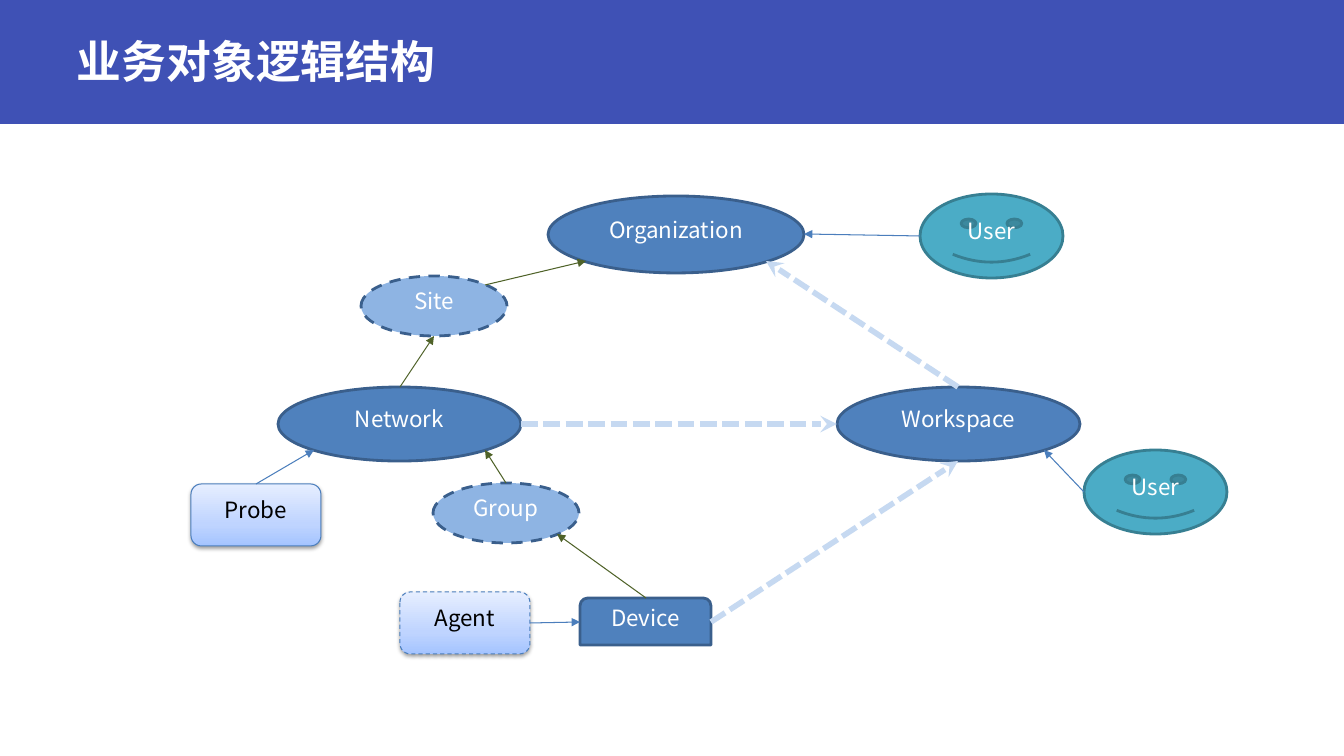
from dataclasses import dataclass

import lxml.etree
import pptx
import pptx.dml.color
import pptx.enum.dml
import pptx.enum.shapes
import pptx.enum.text
import pptx.oxml
import pptx.oxml.ns
import pptx.util

EMU_PER_PIXEL = 914400 / 100.8
RGB = pptx.dml.color.RGBColor.from_string
SHAPE = pptx.enum.shapes.MSO_SHAPE
DASH = pptx.enum.dml.MSO_LINE
NAMESPACE = pptx.oxml.ns.nsdecls("a")


@dataclass(frozen=True)
class Theme:
    """Colours, fonts and type sizes of the slide."""
    banner: str = "3F51B5"
    white: str = "FFFFFF"
    black: str = "000000"
    core: str = "4F81BD"
    core_edge: str = "3A5F8C"
    optional: str = "8EB4E3"
    user: str = "4BACC6"
    user_edge: str = "377F92"
    thin_edge: str = "4B7EBC"
    hierarchy: str = "4F6228"
    membership: str = "C6D9F1"
    gradient: tuple = ((0, "A4C4FF"), (35, "BFD4FF"), (100, "E6EEFF"))
    title_font: str = "Arial"
    label_font: str = "Noto Sans CJK SC"
    title_size: int = 32
    label_size: int = 16


theme = Theme()


def px(*lengths):
    """Turn pixel lengths into a list of EMU lengths."""
    return [pptx.util.Emu(round(length * EMU_PER_PIXEL)) for length in lengths]


def anchor(part, side):
    """Return the point on a part's outline, in whole pixels."""
    left, top, width, height = boxes[part]
    across, down = sides[side]
    return round(left + across * width), round(top + down * height)


presentation = pptx.Presentation()
presentation.slide_width, presentation.slide_height = px(1344, 756)
slide = presentation.slides.add_slide(presentation.slide_layouts[6])

# Title banner
banner = slide.shapes.add_shape(SHAPE.RECTANGLE, *px(0, 0, 1344, 124))
banner.shadow.inherit = False
banner.fill.solid()
banner.fill.fore_color.rgb = RGB(theme.banner)
banner.line.fill.background()

title = slide.shapes.add_textbox(*px(67, 13, 1210, 96))
title.text_frame.word_wrap = True
title.text_frame.vertical_anchor = pptx.enum.text.MSO_ANCHOR.MIDDLE
title.text_frame.text = "业务对象逻辑结构"
title_run = title.text_frame.paragraphs[0].runs[0]
title_run.font.name = theme.title_font
title_run.font.size = pptx.util.Pt(theme.title_size)
title_run.font.bold = True
title_run.font.color.rgb = RGB(theme.white)
east_asian = lxml.etree.SubElement(title_run.font._element, pptx.oxml.ns.qn("a:ea"))
east_asian.set("typeface", theme.label_font)

# Business objects: preset, fill (None for the gradient), edge, edge width, dash, text
styles = {
    "core": (SHAPE.OVAL, theme.core, theme.core_edge, 2, None, theme.white),
    "device": (SHAPE.ROUND_2_SAME_RECTANGLE, theme.core, theme.core_edge, 2, None, theme.white),
    "optional": (SHAPE.OVAL, theme.optional, theme.core_edge, 2, DASH.DASH, theme.white),
    "user": (SHAPE.SMILEY_FACE, theme.user, theme.user_edge, 2, None, theme.white),
    "probe": (SHAPE.ROUNDED_RECTANGLE, None, theme.thin_edge, 0.75, None, theme.black),
    "agent": (SHAPE.ROUNDED_RECTANGLE, None, theme.thin_edge, 0.75, DASH.DASH, theme.black),
}
business_objects = [
    ("organization", "Organization", "core", (548, 196, 256, 77)),
    ("network", "Network", "core", (278, 387, 243, 74)),
    ("organization user", "User", "user", (920, 194, 143, 84)),
    ("probe", "Probe", "probe", (191, 484, 130, 62)),
    ("device", "Device", "device", (580, 598, 131, 47)),
    ("workspace user", "User", "user", (1084, 450, 143, 84)),
    ("workspace", "Workspace", "core", (837, 387, 243, 74)),
    ("agent", "Agent", "agent", (400, 592, 130, 62)),
    ("site", "Site", "optional", (361, 276, 146, 60)),
    ("group", "Group", "optional", (433, 483, 146, 60)),
]
boxes = {part: box for part, _, _, box in business_objects}

stops = "".join(
    f'<a:gs pos="{position * 1000}"><a:srgbClr val="{colour}"/></a:gs>'
    for position, colour in theme.gradient)
gradient_xml = (f'<a:gradFill {NAMESPACE} rotWithShape="1"><a:gsLst>{stops}</a:gsLst>'
                '<a:lin ang="16200000" scaled="0"/></a:gradFill>')
shadow_xml = (f'<a:effectLst {NAMESPACE}><a:outerShdw blurRad="39400" dist="20300" '
              f'dir="5400000" rotWithShape="0"><a:srgbClr val="{theme.black}">'
              '<a:alpha val="38000"/></a:srgbClr></a:outerShdw></a:effectLst>')

for part, label, style, box in business_objects:
    preset, fill, edge, edge_width, dash, text_colour = styles[style]
    node = slide.shapes.add_shape(preset, *px(*box))
    node.line.color.rgb = RGB(edge)
    node.line.width = pptx.util.Pt(edge_width)
    if dash:
        node.line.dash_style = dash
    if fill:
        node.shadow.inherit = False
        node.fill.solid()
        node.fill.fore_color.rgb = RGB(fill)
    else:
        properties = node._element.spPr
        geometry = properties.find(pptx.oxml.ns.qn("a:prstGeom"))
        geometry.addnext(pptx.oxml.parse_xml(gradient_xml))
        properties.append(pptx.oxml.parse_xml(shadow_xml))
    node.text_frame.text = label
    node.text_frame.vertical_anchor = pptx.enum.text.MSO_ANCHOR.MIDDLE
    paragraph = node.text_frame.paragraphs[0]
    paragraph.alignment = pptx.enum.text.PP_ALIGN.CENTER
    paragraph.line_spacing = pptx.util.Pt(12)
    font = paragraph.runs[0].font
    font.name = theme.label_font
    font.size = pptx.util.Pt(theme.label_size)
    font.color.rgb = RGB(text_colour)

# Relations between the objects, each pointing at its second object
sides = {
    "top": (0.5, 0), "left": (0, 0.5), "bottom": (0.5, 1), "right": (1, 0.5),
    "top right": (0.85, 0.15), "bottom left": (0.15, 0.85), "bottom right": (0.85, 0.85),
}
relation_styles = {
    "attached": (theme.thin_edge, 0.75, None, "triangle"),
    "hierarchy": (theme.hierarchy, 0.75, None, "triangle"),
    "membership": (theme.membership, 4, DASH.SQUARE_DOT, "stealth"),
}
relations = [
    ("attached", "organization user", "left", "organization", "right"),
    ("attached", "probe", "top", "network", "bottom left"),
    ("attached", "workspace user", "left", "workspace", "bottom right"),
    ("attached", "agent", "right", "device", "left"),
    ("hierarchy", "network", "top", "site", "bottom"),
    ("hierarchy", "site", "top right", "organization", "bottom left"),
    ("hierarchy", "device", "top", "group", "bottom right"),
    ("hierarchy", "group", "top", "network", "bottom right"),
    ("membership", "network", "right", "workspace", "left"),
    ("membership", "device", "right", "workspace", "bottom"),
    ("membership", "workspace", "top", "organization", "bottom right"),
]
for style, source, source_side, target, target_side in relations:
    colour, width, dash, arrowhead = relation_styles[style]
    relation = slide.shapes.add_connector(
        pptx.enum.shapes.MSO_CONNECTOR.STRAIGHT,
        *px(*anchor(source, source_side), *anchor(target, target_side)))
    relation.line.color.rgb = RGB(colour)
    relation.line.width = pptx.util.Pt(width)
    if dash:
        relation.line.dash_style = dash
    outline = relation.line._get_or_add_ln()
    lxml.etree.SubElement(outline, pptx.oxml.ns.qn("a:tailEnd")).set("type", arrowhead)
    lxml.etree.SubElement(relation._element.spPr, pptx.oxml.ns.qn("a:effectLst"))

presentation.save("out.pptx")
